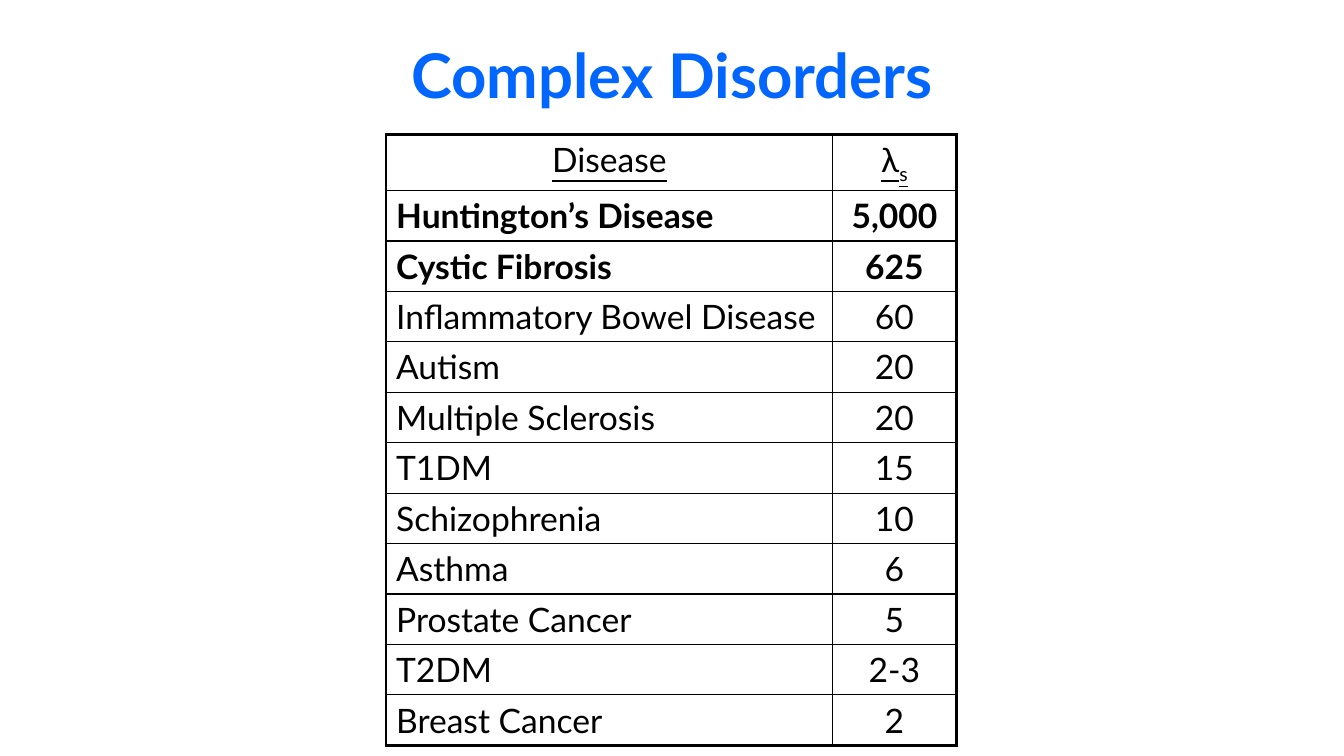
from lxml.etree import SubElement
from pptx import Presentation
from pptx.dml.color import RGBColor
from pptx.enum.text import MSO_ANCHOR, PP_ALIGN
from pptx.oxml import parse_xml
from pptx.oxml.ns import nsdecls
from pptx.util import Cm, Pt

# Content
TITLE = "Complex Disorders"
HEADER = ("Disease", "λ")
SUBSCRIPT = "s"
DISORDERS = [
    ("Huntington’s Disease", "5,000"),
    ("Cystic Fibrosis", "625"),
    ("Inflammatory Bowel Disease", "60"),
    ("Autism", "20"),
    ("Multiple Sclerosis", "20"),
    ("T1DM", "15"),
    ("Schizophrenia", "10"),
    ("Asthma", "6"),
    ("Prostate Cancer", "5"),
    ("T2DM", "2-3"),
    ("Breast Cancer", "2"),
]
BOLD_ROWS = (1, 2)

# Style
FONT = "Lato"
BLUE = RGBColor(0x00, 0x66, 0xFF)
BLACK = RGBColor(0x00, 0x00, 0x00)
OUTER, INNER = Pt(2.25), Pt(1)
COLUMN_WIDTHS = (Cm(11.25), Cm(3.12))
HEADER_HEIGHT, ROW_HEIGHT = Cm(1.41), Cm(1.27)


def add_run(paragraph, text, size, color, bold=False, underline=False):
    run = paragraph.add_run()
    run.text = text
    font = run.font
    font.name, font.size, font.bold = FONT, Pt(size), bold
    font.underline = underline
    font.color.rgb = color
    return run


def set_borders(cell, widths):
    """Draw the left, right, top and bottom borders of a cell."""
    properties = cell._tc.get_or_add_tcPr()
    for index, (side, width) in enumerate(zip("LRTB", widths)):
        properties.insert(index, parse_xml(
            f'<a:ln{side} {nsdecls("a")} w="{width}"><a:solidFill>'
            f'<a:srgbClr val="{BLACK}"/></a:solidFill></a:ln{side}>'))


prs = Presentation()
prs.slide_width, prs.slide_height = Cm(33.87), Cm(19.05)
slide = prs.slides.add_slide(prs.slide_layouts[5])

# Title
title = slide.shapes.title
title.left, title.top, title.width, title.height = Cm(6.14), Cm(0.28), Cm(21.6), Cm(3.17)
title.text_frame.vertical_anchor = MSO_ANCHOR.MIDDLE
title_line = title.text_frame.paragraphs[0]
title_line.alignment = PP_ALIGN.CENTER
add_run(title_line, TITLE, 44, BLUE, bold=True)

# Table of disorders
rows = [HEADER] + DISORDERS
last_row, last_column = len(rows) - 1, len(HEADER) - 1
risks = slide.shapes.add_table(
    len(rows), len(HEADER), Cm(9.73), Cm(3.39), sum(COLUMN_WIDTHS),
    HEADER_HEIGHT + ROW_HEIGHT * len(DISORDERS)).table
risks.first_row = risks.horz_banding = False
for column, width in zip(risks.columns, COLUMN_WIDTHS):
    column.width = width

for r, row in enumerate(rows):
    risks.rows[r].height = ROW_HEIGHT if r else HEADER_HEIGHT
    for c, text in enumerate(row):
        cell = risks.cell(r, c)
        cell.fill.background()
        set_borders(cell, (
            INNER if c else OUTER,
            OUTER if c == last_column else INNER,
            INNER if r else OUTER,
            OUTER if r == last_row else INNER))
        line = cell.text_frame.paragraphs[0]
        line.alignment = PP_ALIGN.LEFT if r and c == 0 else PP_ALIGN.CENTER
        add_run(line, text, 24, BLACK, bold=r in BOLD_ROWS, underline=r == 0)

# Subscript of the risk ratio
ratio_line = risks.cell(0, last_column).text_frame.paragraphs[0]
subscript = add_run(ratio_line, SUBSCRIPT, 24, BLACK, underline=True)
subscript.font._element.set("baseline", "-25000")

prs.save("out.pptx")
